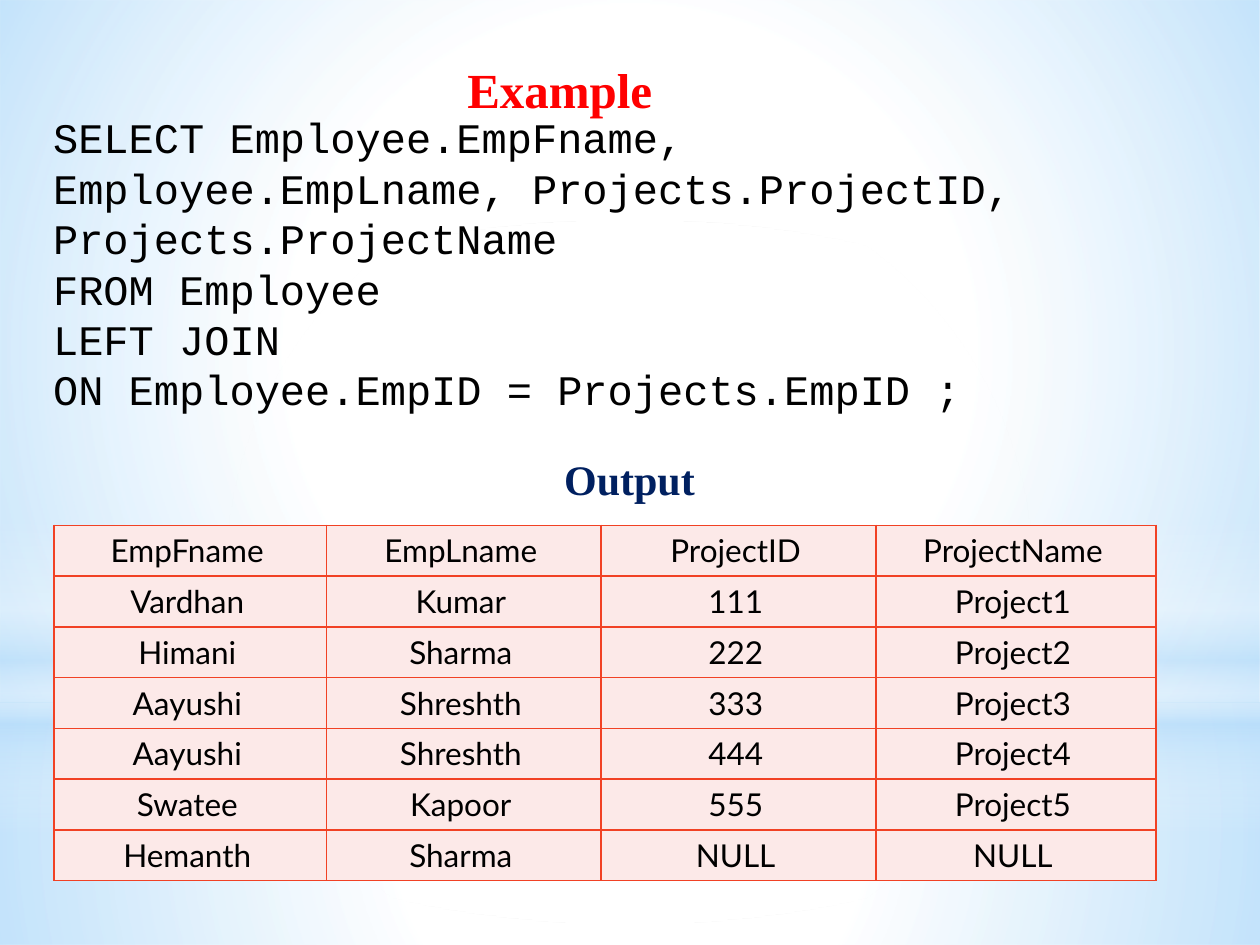
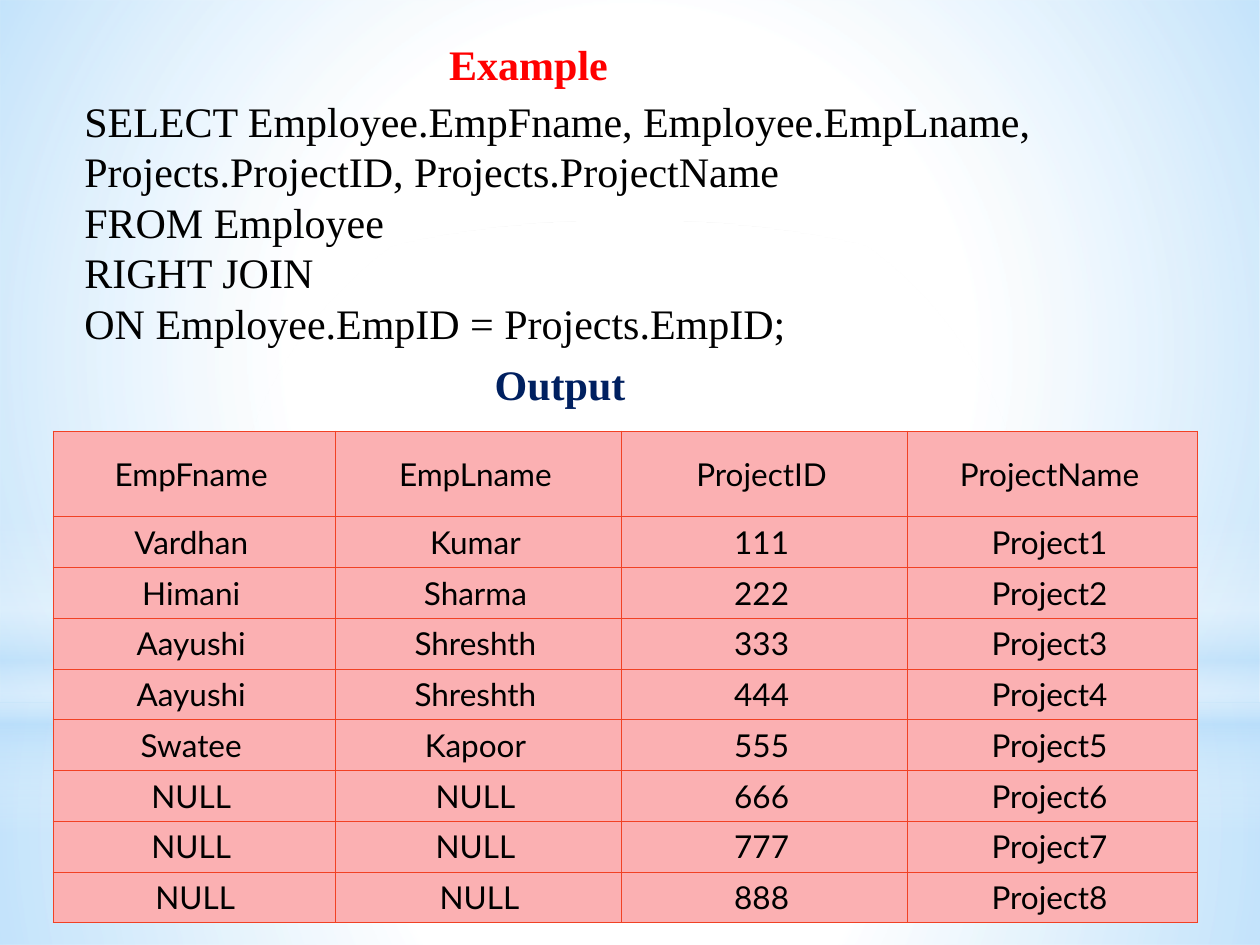
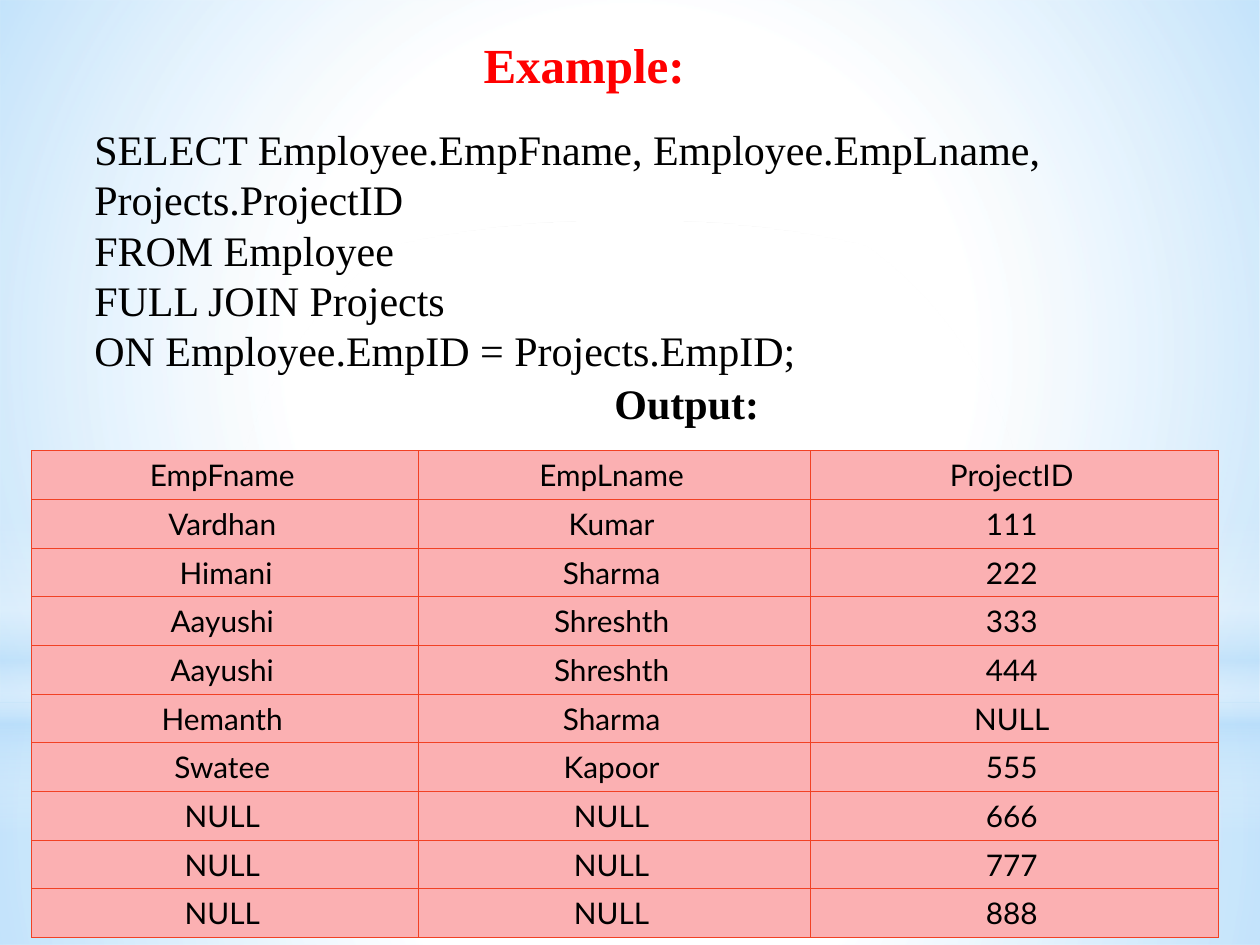
from lxml.etree import SubElement
from pptx import Presentation
from pptx.dml.color import RGBColor
from pptx.enum.shapes import MSO_SHAPE
from pptx.enum.text import MSO_ANCHOR, MSO_AUTO_SIZE, PP_ALIGN
from pptx.oxml import parse_xml
from pptx.oxml.ns import nsdecls, qn
from pptx.util import Cm, Pt

SERIF, MONO, SANS = "Times New Roman", "Courier New", "Lato"
RED, NAVY, BLACK = "FF0000", "002060", "000000"
WHITE, SKY = "FFFFFF", "B4DCFA"
BORDER, PALE_ROSE, ROSE = "F14124", "FCE9E8", "FBB0B2"
TEXT_MARGINS = (0.25, 0.13, 0.25, 0.13)
CELL_MARGINS = (0.13, 0.13, 0.25, 0.13)
NO_MARGINS = (0, 0, 0, 0)

HEADINGS = ["EmpFname", "EmpLname", "ProjectID", "ProjectName"]
ASSIGNED = [
    ["Vardhan", "Kumar", "111", "Project1"],
    ["Himani", "Sharma", "222", "Project2"],
    ["Aayushi", "Shreshth", "333", "Project3"],
    ["Aayushi", "Shreshth", "444", "Project4"],
]
SWATEE = ["Swatee", "Kapoor", "555", "Project5"]
HEMANTH = ["Hemanth", "Sharma", "NULL", "NULL"]
UNASSIGNED = [["NULL", "NULL", str(n * 111), f"Project{n}"] for n in (6, 7, 8)]


def rgb(colour):
    """Turn a hex string into a colour."""
    return RGBColor.from_string(colour)


def place(shape, box):
    """Move a shape to a box of left, top, width and height in centimetres."""
    shape.left, shape.top, shape.width, shape.height = map(Cm, box)


def write(frame, lines, font=SERIF, size=24, colour=BLACK, bold=False,
          align=PP_ALIGN.LEFT, spacing=None):
    """Fill a text frame with one formatted paragraph for each line."""
    for index, line in enumerate(lines):
        paragraph = frame.paragraphs[0] if index == 0 else frame.add_paragraph()
        paragraph.alignment = align
        paragraph.space_before = paragraph.space_after = Pt(0)
        if spacing:
            paragraph.line_spacing = Pt(spacing)
        run = paragraph.add_run()
        run.text = line
        run.font.name, run.font.size, run.font.bold = font, Pt(size), bold
        run.font.color.rgb = rgb(colour)


def fit(frame, margins=TEXT_MARGINS, anchor=MSO_ANCHOR.TOP, wrap=False,
        grow=MSO_AUTO_SIZE.SHAPE_TO_FIT_TEXT):
    """Set how a text frame holds its text."""
    (frame.margin_left, frame.margin_top,
     frame.margin_right, frame.margin_bottom) = map(Cm, margins)
    frame.vertical_anchor, frame.word_wrap, frame.auto_size = anchor, wrap, grow


def add_glow(slide, box, stops, kind=MSO_SHAPE.RECTANGLE, radial=True):
    """Add a gradient shape to the master behind the given slide."""
    glow = slide.shapes.add_shape(kind, *map(Cm, box))
    glow.shadow.inherit = False
    glow.line.fill.background()
    gradient = parse_xml(f'<a:gradFill {nsdecls("a")} rotWithShape="1"><a:gsLst/></a:gradFill>')
    for position, colour, opacity in stops:
        stop = SubElement(gradient[0], qn("a:gs"), pos=str(position * 1000))
        tint = SubElement(stop, qn("a:srgbClr"), val=colour)
        SubElement(tint, qn("a:alpha"), val=str(opacity * 1000))
    if radial:
        circle = SubElement(gradient, qn("a:path"), path="circle")
        SubElement(circle, qn("a:fillToRect"), {side: "50000" for side in "ltrb"})
    else:
        SubElement(gradient, qn("a:lin"), ang="5400000", scaled="0")
    glow._element.spPr.insert(2, gradient)
    tree = slide.slide_layout.slide_master.shapes._spTree
    glow._element.nvSpPr.cNvPr.set("id", str(100 + len(tree)))
    tree.insert(len(tree.findall(qn("p:sp"))) - 5 + 2, glow._element)


def add_background(slide):
    """Build the sky background that all slides share."""
    add_glow(slide, (0, 14.17, 25.4, 4.88),
             [(0, WHITE, 91), (37, WHITE, 76), (100, SKY, 79)])
    add_glow(slide, (0, 0, 25.4, 14.17),
             [(0, WHITE, 89), (48, WHITE, 62), (100, SKY, 79)])
    add_glow(slide, (0, 10.46, 25.4, 6.35),
             [(0, WHITE, 0), (29, WHITE, 30), (45, SKY, 40),
              (55, WHITE, 26), (65, SKY, 60), (100, WHITE, 0)], radial=False)
    add_glow(slide, (0, 4.45, 25.4, 14.17),
             [(0, WHITE, 100), (56, WHITE, 0)], kind=MSO_SHAPE.OVAL)


def add_heading(slide, box, text, size=28, **holding):
    """Set the red heading in the title placeholder."""
    heading = slide.shapes.title
    place(heading, box)
    fit(heading.text_frame, **holding)
    write(heading.text_frame, [text], size=size, colour=RED, bold=True,
          align=PP_ALIGN.CENTER)


def add_query(slide, box, lines, font=SERIF):
    """Set the SQL statement in the body placeholder, without bullets."""
    query = slide.placeholders[1]
    place(query, box)
    fit(query.text_frame, margins=NO_MARGINS, anchor=MSO_ANCHOR.MIDDLE, wrap=True)
    write(query.text_frame, lines, font=font, spacing=28.8)
    for paragraph in query.text_frame.paragraphs:
        properties = paragraph._p.get_or_add_pPr()
        properties.set("marL", "0")
        properties.set("indent", "0")
        SubElement(properties, qn("a:buNone"))


def add_caption(slide, box, text, colour=NAVY, **holding):
    """Add the caption above the result table."""
    caption = slide.shapes.add_textbox(*map(Cm, box))
    fit(caption.text_frame, **holding)
    write(caption.text_frame, [text], colour=colour, bold=True,
          align=PP_ALIGN.CENTER)


def add_borders(cell, width):
    """Draw the four borders of a cell."""
    properties = cell._tc.get_or_add_tcPr()
    for side in ("lnL", "lnR", "lnT", "lnB"):
        line = SubElement(properties, qn(f"a:{side}"), w=str(Pt(width)))
        SubElement(SubElement(line, qn("a:solidFill")), qn("a:srgbClr"), val=BORDER)


def add_result(slide, corner, widths, heights, rows, fill=ROSE, size=18, border=0.75):
    """Add the result table with its top left at the corner."""
    head, row_height = heights
    tall = head + row_height * (len(rows) - 1)
    box = (*corner, sum(widths), tall)
    result = slide.shapes.add_table(len(rows), len(widths), *map(Cm, box)).table
    result.first_row = result.horz_banding = False
    for column, width in zip(result.columns, widths):
        column.width = Cm(width)
    for index, (row, values) in enumerate(zip(result.rows, rows)):
        row.height = Cm(row_height if index else head)
        for cell, value in zip(row.cells, values):
            add_borders(cell, border)
            cell.fill.solid()
            cell.fill.fore_color.rgb = rgb(fill)
            cell.vertical_anchor = MSO_ANCHOR.MIDDLE
            (cell.margin_left, cell.margin_top,
             cell.margin_right, cell.margin_bottom) = map(Cm, CELL_MARGINS)
            write(cell.text_frame, [value], font=SANS, size=size,
                  align=PP_ALIGN.CENTER)


def build_left_join(slide):
    """Build the left join example."""
    add_query(slide, (1.07, 2.74, 22.02, 5.13), [
        "SELECT Employee.EmpFname, Employee.EmpLname, "
        "Projects.ProjectID, Projects.ProjectName",
        "FROM Employee", "LEFT JOIN",
        "ON Employee.EmpID = Projects.EmpID ;"], font=MONO)
    add_result(slide, (1.09, 10.59), (5.49, 5.54, 5.54, 5.64), (1.02, 1.02),
               [HEADINGS, *ASSIGNED, SWATEE, HEMANTH], fill=PALE_ROSE, border=1)
    add_heading(slide, (9.14, 1.07, 4.29, 1.45), "Example")
    add_caption(slide, (11.1, 9.02, 3.18, 1.27), "Output")


def build_right_join(slide):
    """Build the right join example."""
    add_query(slide, (1.7, 1.9, 20.96, 5.13), [
        "SELECT Employee.EmpFname, Employee.EmpLname, "
        "Projects.ProjectID, Projects.ProjectName",
        "FROM Employee", "RIGHT JOIN",
        "ON Employee.EmpID = Projects.EmpID;"])
    *unassigned, last = UNASSIGNED
    shifted = ["\u00a0NULL", "\u00a0NULL", *last[2:]]
    add_result(slide, (1.07, 8.69), (5.69, 5.77, 5.77, 5.84), (1.73, 1.01),
               [HEADINGS, *ASSIGNED, SWATEE, *unassigned, shifted])
    add_heading(slide, (8.79, 0.64, 3.73, 1.27), "Example", size=24)
    add_caption(slide, (9.7, 7.09, 3.18, 1.27), "Output")


def build_full_join(slide):
    """Build the full join example."""
    add_heading(slide, (9.73, 0.7, 4.09, 2.9), "Example:", margins=NO_MARGINS,
                grow=MSO_AUTO_SIZE.NONE)
    add_query(slide, (1.9, 2.46, 22.66, 5.13), [
        "SELECT Employee.EmpFname, Employee.EmpLname, Projects.ProjectID",
        "FROM Employee", "FULL JOIN Projects",
        "ON Employee.EmpID = Projects.EmpID;"])
    rows = [row[:3] for row in [HEADINGS, *ASSIGNED, HEMANTH, SWATEE, *UNASSIGNED]]
    rows[2][0] = "\u00a0Himani"
    add_result(slide, (0.64, 9.09), (7.8, 7.9, 8.23), (0.97, 0.97), rows, size=17)
    add_caption(slide, (6.86, 7.62, 13.97, 1.93), "Output:", colour=BLACK,
                margins=(0.25, 0, 0.25, 0.13), wrap=True, grow=MSO_AUTO_SIZE.NONE)


def main():
    """Build and save the three slides."""
    deck = Presentation()
    deck.slide_width, deck.slide_height = Cm(25.4), Cm(19.05)
    layout = deck.slide_layouts[1]
    slides = [deck.slides.add_slide(layout) for _ in range(3)]
    add_background(slides[0])
    for build, slide in zip((build_left_join, build_right_join, build_full_join), slides):
        build(slide)
    deck.save("out.pptx")


main()
